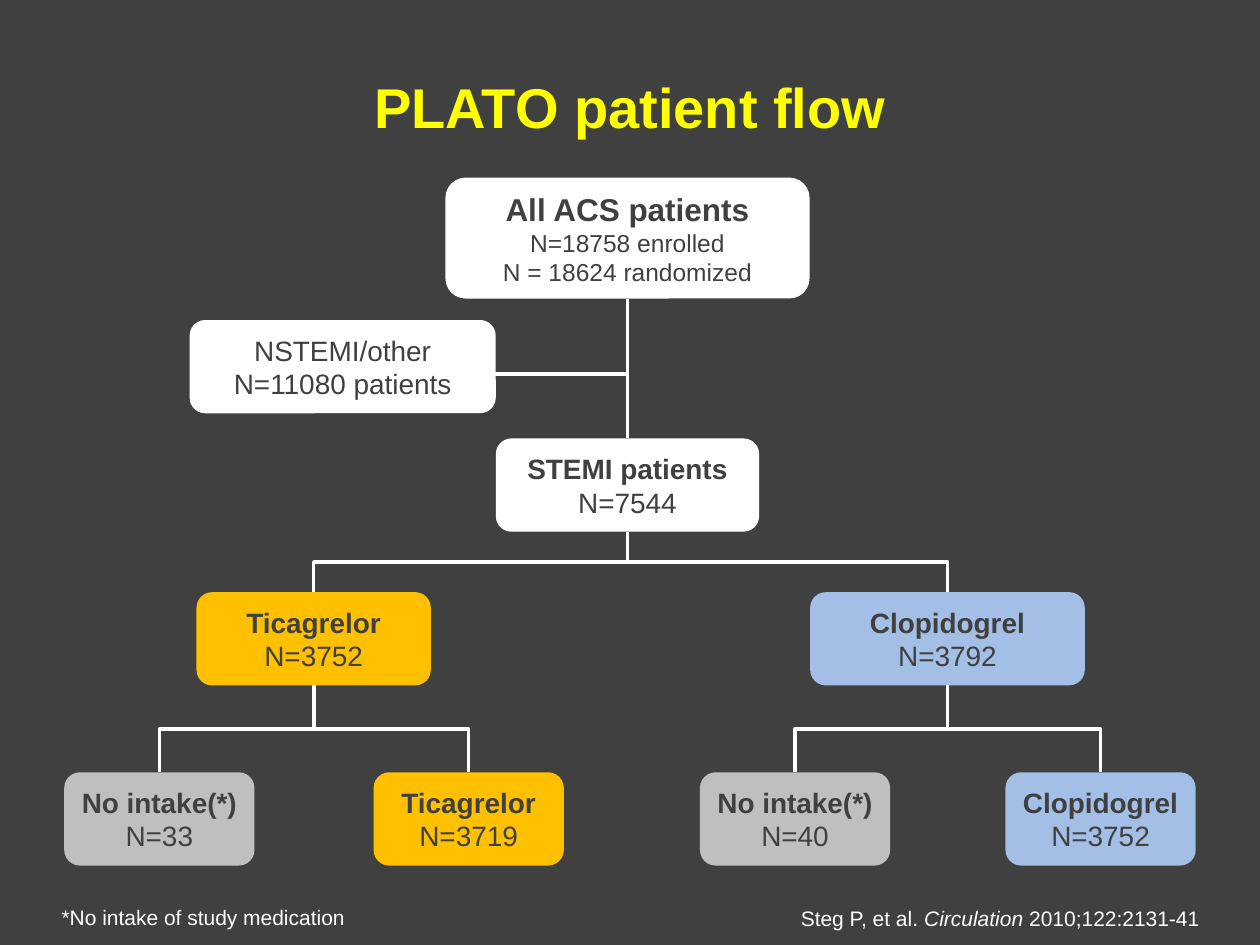
from dataclasses import dataclass

from lxml import etree
from pptx import Presentation
from pptx import util as u
from pptx.dml import color
from pptx.enum import shapes, text
from pptx.oxml import ns

COLORS = {
    "background": "404040",
    "ink": "404040",
    "title": "FFFF00",
    "white": "FFFFFF",
    "ticagrelor": "FFC000",
    "clopidogrel": "A3BFE5",
    "no_intake": "BFBFBF",
}
FONT = "Arial"
COLS, ROWS = 100, 75
BOX_ROWS = 7.4

prs = Presentation()
prs.slide_width, prs.slide_height = u.Inches(10), u.Inches(7.5)


@dataclass(frozen=True)
class Run:
    text: str
    size: int = 16
    bold: bool = False
    italic: bool = False
    color: str = "ink"


@dataclass(frozen=True)
class Box:
    center: float
    top: float
    width: float
    fill: str
    lines: tuple[Run, ...]
    height: float = BOX_ROWS

    @property
    def bottom(self) -> float:
        return self.top + self.height


def x(cols: float) -> int:
    return round(prs.slide_width * cols / COLS)


def y(rows: float) -> int:
    return round(prs.slide_height * rows / ROWS)


def rgb(name: str) -> color.RGBColor:
    return color.RGBColor.from_string(COLORS[name])


def add_runs(p, runs: tuple[Run, ...], align) -> None:
    p.alignment = align
    for run in runs:
        r = p.add_run()
        r.text = run.text
        r.font.name = FONT
        r.font.size = u.Pt(run.size)
        r.font.bold = run.bold
        r.font.italic = run.italic
        r.font.color.rgb = rgb(run.color)


def add_box(s, box: Box) -> None:
    sp = s.shapes.add_shape(
        shapes.MSO_SHAPE.ROUNDED_RECTANGLE,
        x(box.center - box.width / 2), y(box.top), x(box.width), y(box.height),
    )
    sp.shadow.inherit = False
    sp.fill.solid()
    sp.fill.fore_color.rgb = rgb(box.fill)
    sp.line.fill.background()
    tf = sp.text_frame
    tf.word_wrap = True
    tf.vertical_anchor = text.MSO_ANCHOR.MIDDLE
    for i, line in enumerate(box.lines):
        p = tf.add_paragraph() if i else tf.paragraphs[0]
        add_runs(p, (line,), text.PP_ALIGN.CENTER)


def add_line(s, kind, x1: float, y1: float, x2: float, y2: float):
    c = s.shapes.add_connector(kind, x(x1), y(y1), x(x2), y(y2))
    c.line.color.rgb = rgb("white")
    c.line.width = u.Pt(2)
    etree.SubElement(c._element.spPr, ns.qn("a:effectLst"))
    return c


def add_elbow(s, x1: float, y1: float, x2: float, y2: float, preset: str = "bentConnector3") -> None:
    mid_x, mid_y = (x1 + x2) / 2, (y1 + y2) / 2
    half_w, half_h = (y2 - y1) / 2, abs(x2 - x1) / 2
    c = add_line(s, shapes.MSO_CONNECTOR.ELBOW,
                 mid_x - half_w, mid_y - half_h, mid_x + half_w, mid_y + half_h)
    xfrm = c._element.spPr.find(ns.qn("a:xfrm"))
    if x2 < x1:
        xfrm.set("rot", "5400000")
    else:
        xfrm.set("rot", "16200000")
        xfrm.set("flipH", "1")
    c._element.spPr.find(ns.qn("a:prstGeom")).set("prst", preset)


def add_fork(s, parent: Box, children: tuple[Box, ...]) -> None:
    for child in children:
        add_elbow(s, parent.center, parent.bottom, child.center, child.top)


def add_note(s, left: float, top: float, width: float, runs: tuple[Run, ...], align, wrap: bool) -> None:
    tf = s.shapes.add_textbox(x(left), y(top), x(width), y(3)).text_frame
    tf.word_wrap = wrap
    tf.auto_size = text.MSO_AUTO_SIZE.SHAPE_TO_FIT_TEXT
    add_runs(tf.paragraphs[0], runs, align)


def group(center: float, top: float, width: float, fill: str, name: str, count: str) -> Box:
    return Box(center, top, width, fill, (Run(name, bold=True), Run(count)))


def main() -> None:
    s = prs.slides.add_slide(prs.slide_layouts[5])
    s.background.fill.solid()
    s.background.fill.fore_color.rgb = rgb("background")

    title = s.shapes.title
    title.left, title.top, title.width, title.height = x(0), y(2.2), x(COLS), y(12.5)
    tf = title.text_frame
    tf.margin_left = tf.margin_right = 0
    tf.vertical_anchor = text.MSO_ANCHOR.MIDDLE
    add_runs(tf.paragraphs[0], (Run("PLATO patient flow", 32, True, color="title"),), text.PP_ALIGN.CENTER)

    trunk, arm_row, intake_row, intake_width = 49.8, 47, 61.3, 15.1
    enrolled = Box(trunk, 14.1, 28.9, "white", (
        Run("All ACS patients", 18, True),
        Run("N=18758 enrolled", 14),
        Run("N = 18624 randomized", 14),
    ), 9.6)
    other = Box(27.2, 25.4, 24.3, "white", (Run("NSTEMI/other"), Run("N=11080 patients")))
    stemi = group(trunk, 34.8, 20.9, "white", "STEMI patients", "N=7544")
    ticagrelor = group(24.9, arm_row, 18.6, "ticagrelor", "Ticagrelor", "N=3752")
    clopidogrel = group(75.2, arm_row, 21.8, "clopidogrel", "Clopidogrel", "N=3792")
    intake = {
        ticagrelor: (
            group(12.65, intake_row, intake_width, "no_intake", "No intake(*)", "N=33"),
            group(37.2, intake_row, intake_width, "ticagrelor", "Ticagrelor", "N=3719"),
        ),
        clopidogrel: (
            group(63.1, intake_row, intake_width, "no_intake", "No intake(*)", "N=40"),
            group(87.35, intake_row, intake_width, "clopidogrel", "Clopidogrel", "N=3752"),
        ),
    }

    arms = tuple(intake)
    for box in (enrolled, other, stemi, *arms, *(b for pair in intake.values() for b in pair)):
        add_box(s, box)

    add_note(s, 3.9, 71.3, 24.5, (Run("*No intake of study medication", 12, color="white"),),
             text.PP_ALIGN.LEFT, False)
    add_note(s, 54.9, 71.4, 41.3, (
        Run("Steg P, et al. ", 12, color="white"),
        Run("Circulation", 12, italic=True, color="white"),
        Run(" 2010;122:2131-41", 12, color="white"),
    ), text.PP_ALIGN.RIGHT, True)

    add_line(s, shapes.MSO_CONNECTOR.STRAIGHT, trunk, enrolled.bottom, trunk, stemi.top)
    add_elbow(s, trunk, enrolled.bottom, 38.9, 29.7, "bentConnector2")
    add_fork(s, stemi, arms)
    for arm, pair in intake.items():
        add_fork(s, arm, pair)

    prs.save("out.pptx")


if __name__ == "__main__":
    main()
